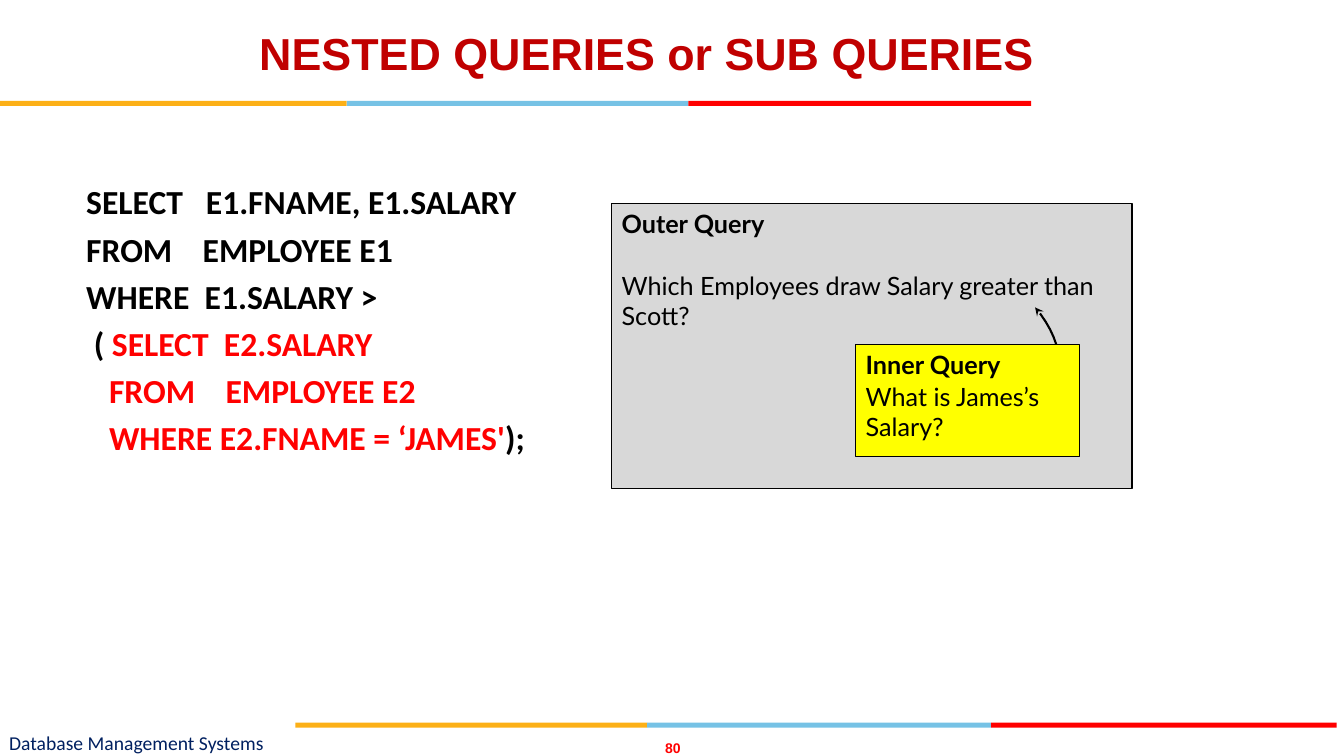
from lxml import etree
from pptx import Presentation
from pptx.dml.color import RGBColor
from pptx.enum.shapes import MSO_SHAPE as Shape
from pptx.enum.text import MSO_ANCHOR as Anchor, PP_ALIGN as Align
from pptx.oxml.ns import qn
from pptx.util import Pt

BLACK = RGBColor(0, 0, 0)
RED = RGBColor(0xFF, 0, 0)
DARK_RED = RGBColor(0xC0, 0, 0)
NAVY = RGBColor(0, 0x20, 0x60)
AMBER = RGBColor(0xFC, 0xB0, 0x17)
SKY = RGBColor(0x76, 0xC2, 0xE5)
GREY = RGBColor(0xD8, 0xD8, 0xD8)
YELLOW = RGBColor(0xFF, 0xFF, 0)

# Content: each line is a list of (text, colour, bold) runs
TITLE = [[("NESTED QUERIES or SUB QUERIES", DARK_RED, True)]]
QUERY = [
    [("SELECT   E1.FNAME, E1.SALARY", BLACK, True)],
    [("FROM    EMPLOYEE E1", BLACK, True)],
    [("WHERE  E1.SALARY >", BLACK, True)],
    [(" ( ", BLACK, True), ("SELECT  E2.SALARY", RED, True)],
    [("   FROM    EMPLOYEE E2", RED, True)],
    [("   WHERE E2.FNAME = ‘JAMES'", RED, True), (");", BLACK, True)],
]
OUTER = [[("Outer Query", BLACK, True)],
         [("Which Employees draw Salary greater than Scott?", BLACK, False)]]
INNER = [[("Inner Query", BLACK, True)],
         [("What is James’s Salary?", BLACK, False)]]
COURSE = [[("Database Management Systems", NAVY, False)]]
PAGE = [[("80", RED, True)]]

# Stripes: top and the edges between colours, in points
STRIPES = [(72, (0, 247.7, 491.8, 736.6)),
           (516.2, (211, 462.2, 708, 954.7))]
STRIPE_COLOURS = (AMBER, SKY, RED)
STRIPE_HEIGHT = 3.6

# Arrow: cubic curves as four points each
ARROW = [((739.4, 219.6), (756.7, 239.8), (761.8, 263.5), (752.4, 282.2)),
         ((752.4, 282.2), (747.4, 291.6), (738.7, 298.8), (727.9, 303.1))]
CURVE_STEPS = 12

presentation = Presentation()
presentation.slide_width, presentation.slide_height = Pt(960), Pt(540)
slide = presentation.slides.add_slide(presentation.slide_layouts[6])


def write(shape, lines, font, size, align=Align.LEFT, anchor=Anchor.TOP,
          gap=0, insets=(7.2, 3.6)):
    frame = shape.text_frame
    frame.word_wrap = True
    frame.vertical_anchor = anchor
    frame.margin_left = frame.margin_right = Pt(insets[0])
    frame.margin_top = frame.margin_bottom = Pt(insets[1])
    for index, runs in enumerate(lines):
        paragraph = frame.add_paragraph() if index else frame.paragraphs[0]
        paragraph.alignment = align
        if index:
            paragraph.space_before = Pt(gap)
        for text, colour, bold in runs:
            run = paragraph.add_run()
            run.text = text
            run.font.name, run.font.size = font, Pt(size)
            run.font.bold, run.font.color.rgb = bold, colour


def add_text(box, lines, font, size, **options):
    shape = slide.shapes.add_textbox(*map(Pt, box))
    write(shape, lines, font, size, **options)


def add_rectangle(box, fill, line_width=0):
    shape = slide.shapes.add_shape(Shape.RECTANGLE, *map(Pt, box))
    shape.shadow.inherit = False
    shape.fill.solid()
    shape.fill.fore_color.rgb = fill
    if line_width:
        shape.line.color.rgb = BLACK
        shape.line.width = Pt(line_width)
    else:
        shape.line.fill.background()
    return shape


def curve_point(curve, t):
    weights = ((1 - t) ** 3, 3 * t * (1 - t) ** 2, 3 * t * t * (1 - t), t ** 3)
    return tuple(Pt(sum(w * point[axis] for w, point in zip(weights, curve)))
                 for axis in (0, 1))


# Stripes under the title and above the footer
for top, edges in STRIPES:
    for left, right, colour in zip(edges, edges[1:], STRIPE_COLOURS):
        add_rectangle((left, top, right - left, STRIPE_HEIGHT), colour)

# Footer
add_text((468.7, 527.8, 23.8, 12.2), PAGE, "Arial", 10,
         align=Align.CENTER, anchor=Anchor.MIDDLE, insets=(0, 0))
add_text((6.5, 520.6, 357, 19.4), COURSE, "Calibri", 14,
         anchor=Anchor.MIDDLE, insets=(0, 0))

# Title and query
add_text((48, 15.1, 828, 104.4), TITLE, "Arial", 32, align=Align.CENTER)
add_text((54.5, 126, 857.5, 356.4), QUERY, "Calibri", 24, gap=4.8)

# Outer query box
outer_box = add_rectangle((437, 145.4, 371.5, 203.8), GREY, 1)
write(outer_box, OUTER, "Lato", 18, gap=22.6)

# Curved arrow from the inner query to the outer one
points = [curve_point(curve, step / CURVE_STEPS)
          for curve in ARROW for step in range(1, CURVE_STEPS + 1)]
builder = slide.shapes.build_freeform(*curve_point(ARROW[0], 0))
builder.add_line_segments(points, close=False)
arrow = builder.convert_to_shape()
arrow.shadow.inherit = False
arrow.fill.background()
arrow.line.color.rgb = BLACK
arrow.line.width = Pt(1.5)
etree.SubElement(arrow.line._get_or_add_ln(), qn("a:headEnd"), type="stealth")

# Inner query box
inner_box = add_rectangle((611.3, 246.2, 159.8, 79.9), YELLOW, 0.5)
write(inner_box, INNER, "Lato", 18, gap=1)

presentation.save("out.pptx")
